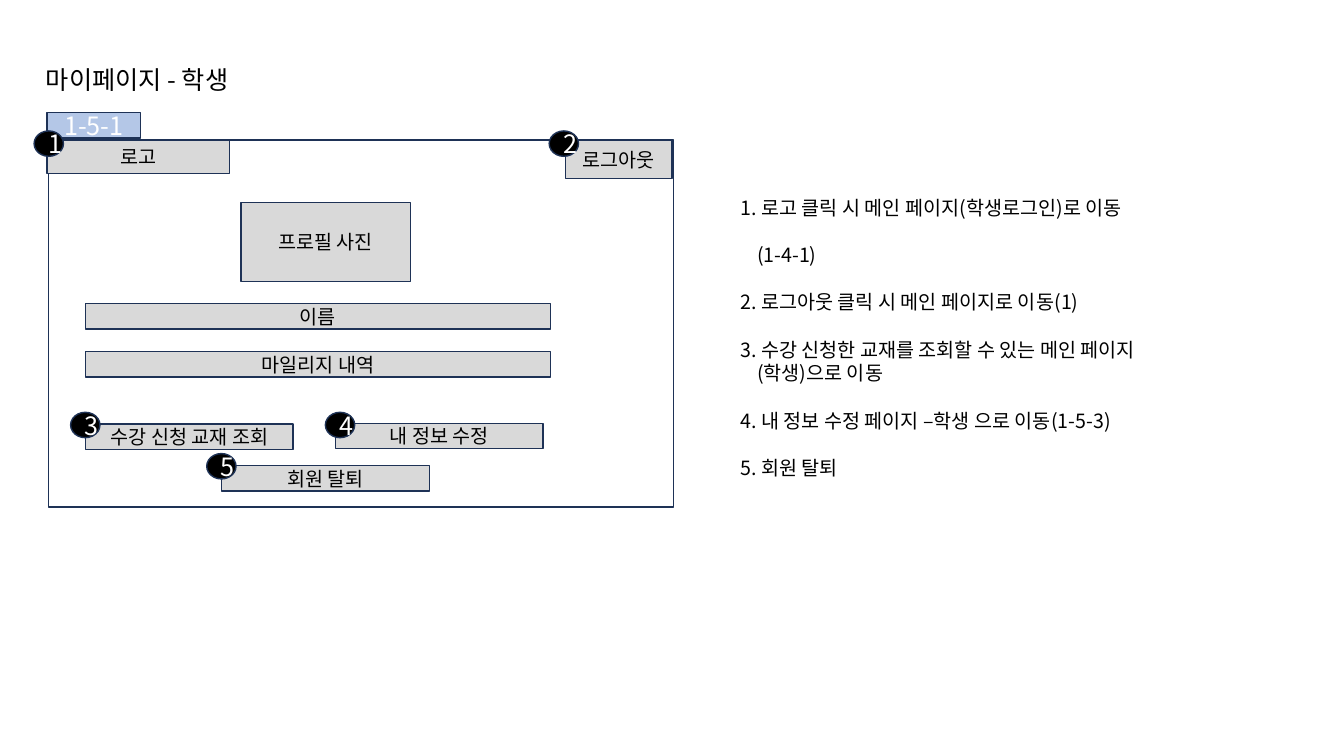
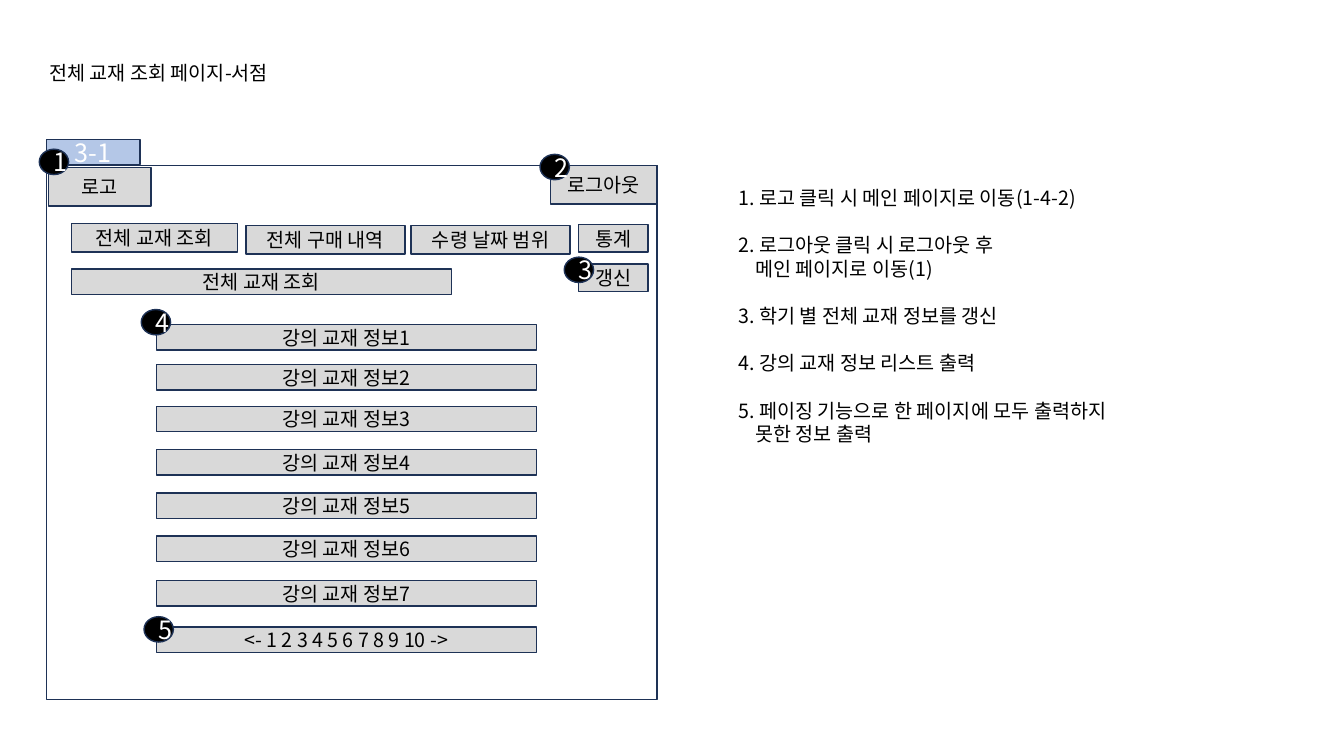
from lxml import etree
from pptx import Presentation
from pptx.dml.color import RGBColor
from pptx.enum.shapes import MSO_SHAPE
from pptx.enum.text import MSO_ANCHOR, PP_ALIGN
from pptx.oxml.ns import qn
from pptx.util import Cm, Pt

RECT, OVAL = MSO_SHAPE.RECTANGLE, MSO_SHAPE.OVAL
MID, TOP = MSO_ANCHOR.MIDDLE, MSO_ANCHOR.TOP
CENTER, LEFT = PP_ALIGN.CENTER, PP_ALIGN.LEFT

# Theme: colours, type sizes (pt) and shared lengths (cm)
THEME = {
    "font": "Noto Sans CJK KR", "white": "FFFFFF", "black": "000000",
    "edge": "1E3256", "tag": "B4C7E7", "box": "D9D9D9",
    "body": 14, "large": 18, "lead": 1.21, "line": 1,
    "bar": 0.64, "badge": 0.74, "tab": 2.36, "hang": 0.42,
}
BAR = THEME["bar"]

# Content: places are left, top, width, height in cm
# Note kinds: "item" and "apart" open a gap above, "next" follows on
LIST_X, LIST_W = 3.94, 9.58
ROW_TOPS = (8.18, 9.19, 10.24, 11.33, 12.42, 13.51, 14.63)
ROWS = [(f"강의 교재 정보{n}", (LIST_X, top, LIST_W, BAR))
        for n, top in enumerate(ROW_TOPS, 1)]

PAGES = [
    {
        "title": ("마이페이지 - 학생", (0.91, 1.5, 9.22, 1.02), THEME["large"]),
        "frame": (1.22, 3.53, 15.75, 9.25),
        "tag": ("1-5-1", 1.19, 2.84),
        "boxes": [
            ("로고", (1.19, 3.53, 4.6, 0.84)),
            ("로그아웃", (14.25, 3.53, 2.69, 0.97)),
            ("프로필 사진", (6.07, 5.11, 4.27, 1.98)),
            ("이름", (2.16, 7.65, 11.71, BAR)),
            ("마일리지 내역", (2.16, 8.86, 11.71, BAR)),
            ("수강 신청 교재 조회", (2.16, 10.69, 5.23, BAR)),
            ("내 정보 수정", (8.46, 10.67, 5.23, BAR)),
            ("회원 탈퇴", (5.59, 11.73, 5.23, BAR)),
        ],
        "badges": [(0.86, 3.3), (13.84, 3.3), (1.78, 10.39),
                   (8.2, 10.39), (5.21, 11.43)],
        "area": (18.41, 4.8, 12.42, 6.83),
        "notes": [
            ("item", "1. 로고 클릭 시 메인 페이지(학생로그인)로 이동"),
            ("apart", "(1-4-1)"),
            ("item", "2. 로그아웃 클릭 시 메인 페이지로 이동(1)"),
            ("item", "3. 수강 신청한 교재를 조회할 수 있는 메인 페이지"),
            ("next", "(학생)으로 이동"),
            ("item", "4. 내 정보 수정 페이지 –학생 으로 이동(1-5-3)"),
            ("item", "5. 회원 탈퇴"),
        ],
    },
    {
        "title": ("전체 교재 조회 페이지-서점", (0.99, 1.42, 17.07, 0.86),
                  THEME["body"]),
        "frame": (1.17, 4.17, 15.39, 13.46),
        "tag": ("3-1", 1.17, 3.51),
        "boxes": [
            ("로고", (1.22, 4.22, 2.59, 0.97)),
            ("로그아웃", (13.87, 4.17, 2.69, 0.97)),
            ("전체 교재 조회", (1.8, 5.64, 4.19, 0.71)),
            ("전체 구매 내역", (6.2, 5.69, 4.01, 0.71)),
            ("수령 날짜 범위", (10.36, 5.69, 4.01, 0.71)),
            ("통계", (14.58, 5.66, 1.75, 0.69)),
            ("갱신", (14.58, 6.65, 1.75, 0.69)),
            ("전체 교재 조회", (1.8, 6.78, LIST_W, BAR)),
            *ROWS,
            ("<- 1 2 3 4 5 6 7 8 9 10 ->", (LIST_X, 15.8, LIST_W, BAR)),
        ],
        "badges": [(0.99, 3.76), (13.61, 3.89), (14.22, 6.48),
                   (3.56, 7.8), (3.63, 15.54)],
        "area": (18.36, 4.55, 11.69, 6.83),
        "notes": [
            ("item", "1. 로고 클릭 시 메인 페이지로 이동(1-4-2)"),
            ("item", "2. 로그아웃 클릭 시 로그아웃 후"),
            ("next", "메인 페이지로 이동(1)"),
            ("item", "3. 학기 별 전체 교재 정보를 갱신"),
            ("item", "4. 강의 교재 정보 리스트 출력"),
            ("item", "5. 페이징 기능으로 한 페이지에 모두 출력하지"),
            ("next", "못한 정보 출력"),
        ],
    },
]


def color(name):
    return RGBColor.from_string(THEME[name])


def place(at):
    return [Cm(v) for v in at]


def style(part, text, size, ink, align):
    """Write one paragraph in the shared font."""
    part.alignment = align
    run = part.add_run()
    run.text = text
    for key, value in {"name": THEME["font"], "size": Pt(size)}.items():
        setattr(run.font, key, value)
    run.font.color.rgb = color(ink)
    east = etree.SubElement(run.font._element, qn("a:ea"))
    east.set("typeface", THEME["font"])


def block(slide, kind, at, fill, text="", size=THEME["body"], ink="black"):
    """Draw an outlined shape with centred text."""
    shape = slide.shapes.add_shape(kind, *place(at))
    shape.shadow.inherit = False
    shape.fill.solid()
    shape.fill.fore_color.rgb = color(fill)
    shape.line.color.rgb = color("edge")
    shape.line.width = Pt(THEME["line"])
    if text:
        frame = shape.text_frame
        frame.word_wrap, frame.vertical_anchor = True, MID
        style(frame.paragraphs[0], text, size, ink, CENTER)


def prose(slide, at, lines, size):
    """Set lines of text, with gaps and indents by kind."""
    frame = slide.shapes.add_textbox(*place(at)).text_frame
    frame.word_wrap, frame.vertical_anchor = True, TOP
    pitch = Pt(round(size * THEME["lead"], 1))
    for n, (kind, text) in enumerate(lines):
        part = frame.add_paragraph() if n else frame.paragraphs[0]
        style(part, text, size, "black", LEFT)
        part.line_spacing = pitch
        if n and kind != "next":
            part.space_before = pitch
        if kind != "item":
            part._p.get_or_add_pPr().set("marL", str(Cm(THEME["hang"])))


def build(deck, page):
    slide = deck.slides.add_slide(deck.slide_layouts[6])
    # Title and screen frame
    title, at, size = page["title"]
    prose(slide, at, [("item", title)], size)
    block(slide, RECT, page["frame"], "white")
    code, left, top = page["tag"]
    block(slide, RECT, (left, top, THEME["tab"], BAR), "tag", code,
          THEME["large"], "white")
    # Screen parts and their numbers
    for text, at in page["boxes"]:
        block(slide, RECT, at, "box", text)
    for n, (left, top) in enumerate(page["badges"], 1):
        block(slide, OVAL, (left, top, THEME["badge"], BAR), "black", str(n),
              THEME["large"], "white")
    # Notes
    prose(slide, page["area"], page["notes"], THEME["body"])


deck = Presentation()
deck.slide_width, deck.slide_height = Cm(33.87), Cm(19.05)
for page in PAGES:
    build(deck, page)
deck.save("out.pptx")
